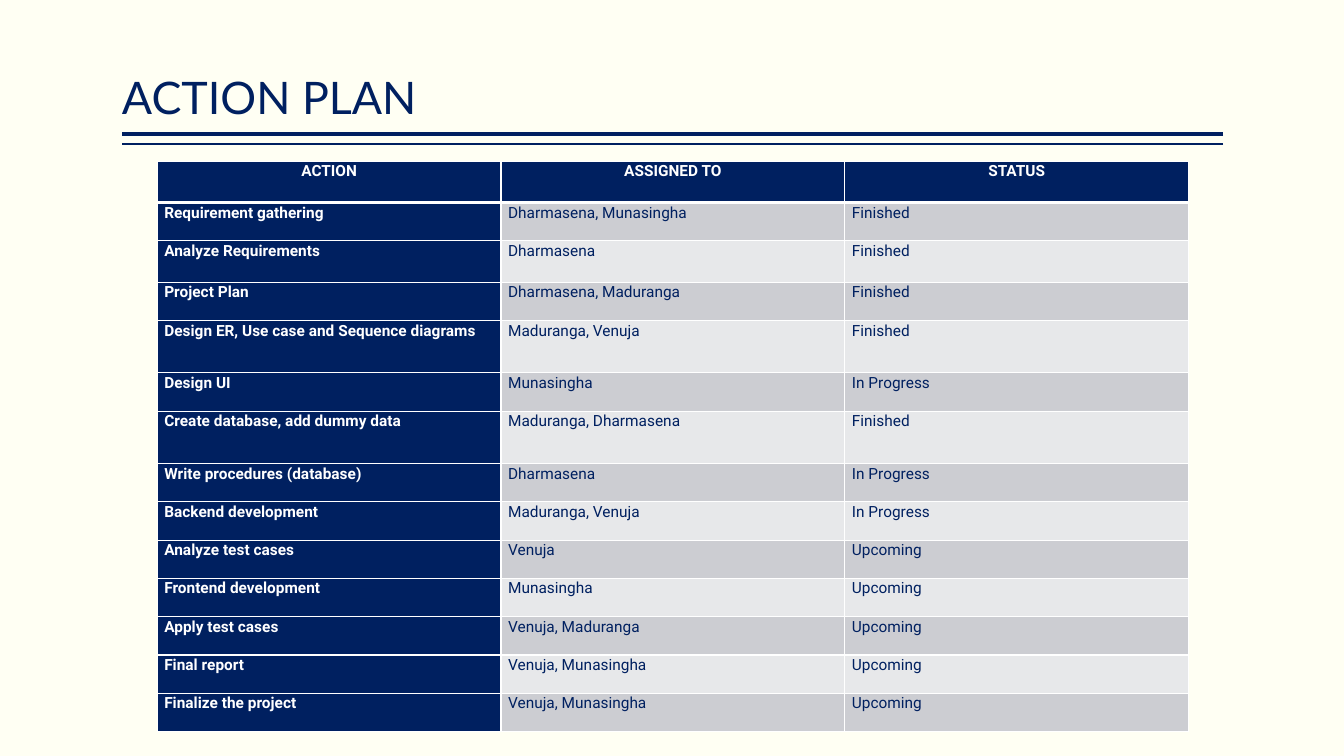
"""Build the action plan slide with its task table."""
from lxml.etree import SubElement
from pptx import Presentation
from pptx.dml.color import RGBColor
from pptx.enum.shapes import MSO_CONNECTOR
from pptx.enum.text import MSO_ANCHOR, PP_ALIGN
from pptx.oxml.ns import qn
from pptx.util import Inches, Pt

NAVY = RGBColor(0x00, 0x20, 0x60)
WHITE = RGBColor(0xFF, 0xFF, 0xFF)
IVORY = RGBColor(0xFF, 0xFF, 0xF3)
DARK = RGBColor(0xCC, 0xCD, 0xD2)
LIGHT = RGBColor(0xE7, 0xE8, 0xEA)

TASKS = [
    ("ACTION", "ASSIGNED TO", "STATUS"),
    ("Requirement gathering", "Dharmasena, Munasingha", "Finished"),
    ("Analyze Requirements", "Dharmasena", "Finished"),
    ("Project Plan", "Dharmasena, Maduranga", "Finished"),
    ("Design ER, Use case and Sequence diagrams", "Maduranga, Venuja", "Finished"),
    ("Design UI", "Munasingha", "In Progress"),
    ("Create database, add dummy data", "Maduranga, Dharmasena", "Finished"),
    ("Write procedures (database)", "Dharmasena", "In Progress"),
    ("Backend development", "Maduranga, Venuja", "In Progress"),
    ("Analyze test cases", "Venuja", "Upcoming"),
    ("Frontend development", "Munasingha", "Upcoming"),
    ("Apply test cases", "Venuja, Maduranga", "Upcoming"),
    ("Final report", "Venuja, Munasingha", "Upcoming"),
    ("Finalize the project", "Venuja, Munasingha", "Upcoming"),
]
HEIGHTS = {0: 0.41, 2: 0.41, 4: 0.52, 6: 0.52}


def add_edge(cell, side, width):
    """Draw one white cell border."""
    edge = SubElement(cell._tc.get_or_add_tcPr(), qn(f"a:ln{side}"), w=str(Pt(width)))
    fill = SubElement(edge, qn("a:solidFill"))
    SubElement(fill, qn("a:srgbClr"), val=str(WHITE))


deck = Presentation()
deck.slide_width = Inches(13.33)
deck.slide_height = Inches(7.5)
slide = deck.slides.add_slide(deck.slide_layouts[6])
slide.background.fill.solid()
slide.background.fill.fore_color.rgb = IVORY

for y, width in ((1.33, 3), (1.43, 1)):
    rule = slide.shapes.add_connector(
        MSO_CONNECTOR.STRAIGHT, Inches(12.13), Inches(y), Inches(1.21), Inches(y))
    rule.line.color.rgb = NAVY
    rule.line.width = Pt(width)
    SubElement(rule._element.spPr, qn("a:effectLst"))

title = slide.shapes.add_textbox(Inches(1.21), Inches(0.08), Inches(10.92), Inches(1.2))
frame = title.text_frame
frame.word_wrap = True
frame.vertical_anchor = MSO_ANCHOR.BOTTOM
frame.margin_left = frame.margin_right = 0
head = frame.paragraphs[0]
head.text = "ACTION PLAN"
head.line_spacing = 0.9
head.font.name = "Lato"
head.font.size = Pt(32)
head.font.color.rgb = NAVY

table = slide.shapes.add_table(
    len(TASKS), 3, Inches(1.56), Inches(1.6), Inches(10.22), Inches(5.68)).table
for column in table.columns:
    column.width = Inches(3.41)

for r, task in enumerate(TASKS):
    table.rows[r].height = Inches(HEIGHTS.get(r, 0.38))
    for c, text in enumerate(task):
        cell = table.cell(r, c)
        strong = r == 0 or c == 0
        for side in "LRTB":
            thick = (r, side) in ((0, "B"), (1, "T"))
            add_edge(cell, side, 3 if thick else 1)
        cell.fill.solid()
        cell.fill.fore_color.rgb = NAVY if strong else DARK if r % 2 else LIGHT
        cell.margin_left = cell.margin_right = Inches(0.07)
        cell.margin_top = cell.margin_bottom = 0
        line = cell.text_frame.paragraphs[0]
        line.text = text
        line.alignment = PP_ALIGN.LEFT if r else PP_ALIGN.CENTER
        line.line_spacing = 1.07
        line.font.name = "Roboto"
        line.font.size = Pt(11)
        line.font.bold = strong
        line.font.color.rgb = WHITE if strong else NAVY

deck.save("out.pptx")
